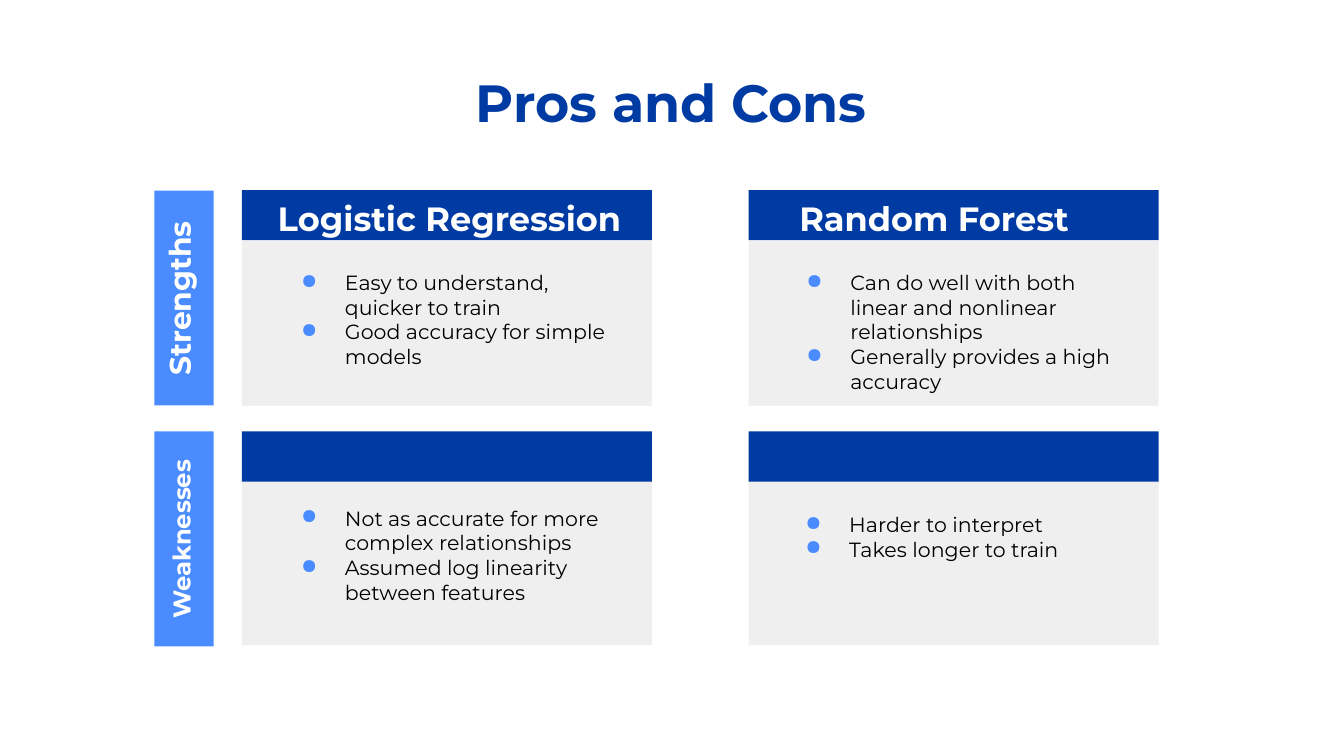
import pptx
import pptx.dml.color
import pptx.enum.shapes
import pptx.enum.text
import pptx.oxml.ns
import pptx.util
from lxml import etree

Cm, Pt = pptx.util.Cm, pptx.util.Pt
ALIGN = pptx.enum.text.PP_ALIGN
NAVY, BLUE, GREY, WHITE, BLACK = "003BA3", "4A8CFF", "EFEFEF", "FFFFFF", "000000"


def color(hex_code):
    return pptx.dml.color.RGBColor.from_string(hex_code)


def add_bullet(p, hex_code):
    pPr = p._p.get_or_add_pPr()
    pPr.set("marL", str(Cm(1.27)))
    pPr.set("indent", str(-Cm(0.83)))
    qn = pptx.oxml.ns.qn
    clr = etree.SubElement(pPr, qn("a:buClr"))
    etree.SubElement(clr, qn("a:srgbClr"), val=hex_code)
    etree.SubElement(pPr, qn("a:buChar"), char="●")


def write(p, text, size=11, hex_code=BLACK, bold=False, align=ALIGN.LEFT, after=0, bullet=None):
    p.alignment = align
    p.space_after = Pt(after)
    if bullet:
        add_bullet(p, bullet)
    r = p.add_run()
    r.text = text
    r.font.name = "Montserrat"
    r.font.size = Pt(size)
    r.font.bold = bold
    r.font.color.rgb = color(hex_code)


class Builder:
    def __init__(self, slide):
        self.s = slide

    def rect(self, x, y, w, h, fill):
        kind = pptx.enum.shapes.MSO_SHAPE.RECTANGLE
        sp = self.s.shapes.add_shape(kind, Cm(x), Cm(y), Cm(w), Cm(h))
        sp.shadow.inherit = False
        sp.fill.solid()
        sp.fill.fore_color.rgb = color(fill)
        sp.line.fill.background()

    def text(self, x, y, w, h, lines, rotation=0, **style):
        sp = self.s.shapes.add_textbox(Cm(x), Cm(y), Cm(w), Cm(h))
        sp.rotation = rotation
        tf = sp.text_frame
        tf.word_wrap = True
        tf.vertical_anchor = pptx.enum.text.MSO_ANCHOR.TOP
        tf.margin_left = tf.margin_right = tf.margin_top = tf.margin_bottom = Cm(0.25)
        for i, line in enumerate(lines):
            write(tf.paragraphs[0] if i == 0 else tf.add_paragraph(), line, **style)

    def heading(self, x, y, w, h, text, size, **style):
        self.text(x, y, w, h, [text], size=size, hex_code=WHITE, bold=True, after=16, **style)

    def bullets(self, x, y, lines):
        self.text(x, y, 6.88, 2.41, lines, bullet=BLUE)


def main():
    prs = pptx.Presentation()
    prs.slide_width, prs.slide_height = Cm(25.4), Cm(14.28)
    b = Builder(prs.slides.add_slide(prs.slide_layouts[6]))

    # Cards: bodies first, then the header bands
    columns, width = (4.57, 14.15), 7.75
    for tops, height, fill in (((4.55, 9.07), 3.12, GREY), ((3.59, 8.15), 0.95, NAVY)):
        for y in tops:
            for x in columns:
                b.rect(x, y, width, height, fill)

    # Title and column headings
    b.text(1.98, 1.07, 21.41, 1.6, ["Pros and Cons"], size=28, hex_code=NAVY, bold=True,
           align=ALIGN.CENTER)
    for x, name in ((5, "Logistic Regression"), (14.86, "Random Forest")):
        b.heading(x, 3.48, width, 1.17, name, 18)

    # Row labels
    for bar_y, x, y, name, size in ((3.6, 1.7, 4.95, "Strengths", 16),
                                    (8.15, 1.8, 9.5, "Weaknesses", 13)):
        b.rect(2.92, bar_y, 1.12, 4.06, BLUE)
        b.heading(x, y, 3.56, 1.37, name, size, rotation=270, align=ALIGN.CENTER)

    # Points
    for x, y, lines in (
        (5, 4.85, ["Easy to understand, quicker to train", "Good accuracy for simple models"]),
        (5, 9.3, ["Not as accurate for more complex relationships",
                  "Assumed log linearity between features"]),
        (14.55, 4.85, ["Can do well with both linear and nonlinear relationships",
                       "Generally provides a high accuracy"]),
        (14.53, 9.42, ["Harder to interpret", "Takes longer to train"]),
    ):
        b.bullets(x, y, lines)

    prs.save("out.pptx")


if __name__ == "__main__":
    main()
